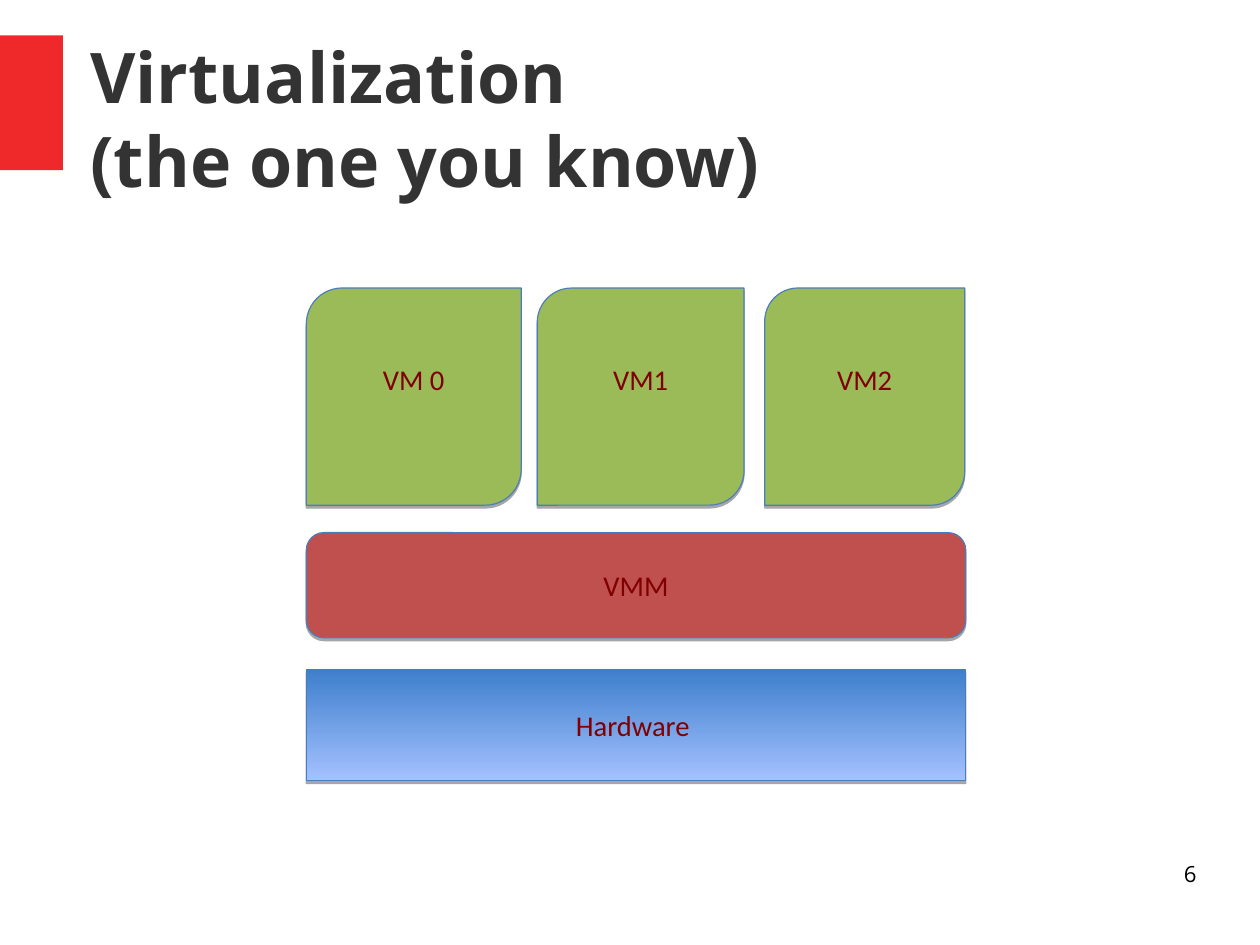
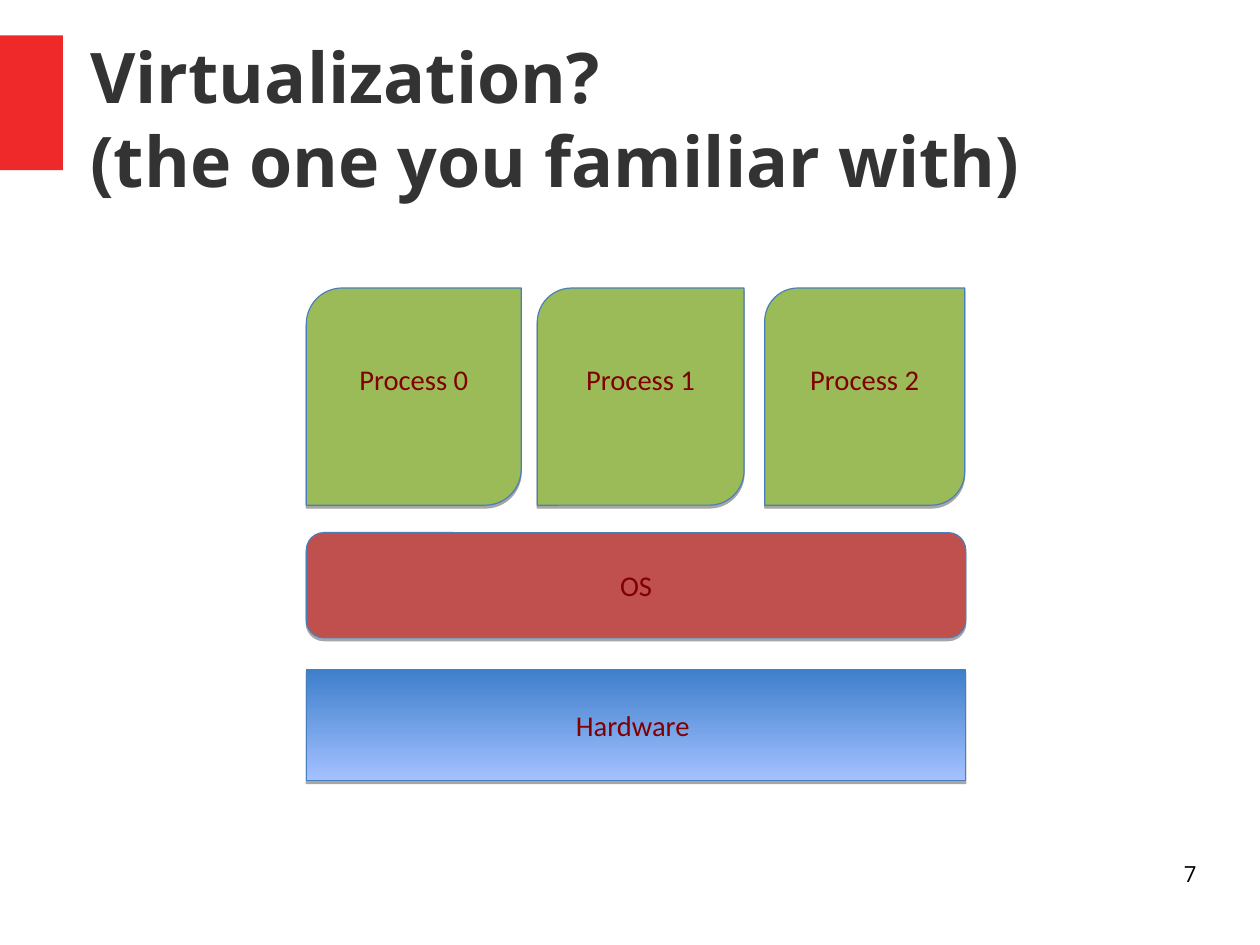
from dataclasses import dataclass

from lxml.etree import SubElement
from pptx import Presentation
from pptx.dml.color import RGBColor
from pptx.enum.shapes import MSO_SHAPE
from pptx.enum.text import MSO_ANCHOR, PP_ALIGN
from pptx.oxml.ns import qn
from pptx.util import Cm, Inches, Pt


@dataclass(frozen=True)
class Theme:
    band: str = "EF2929"
    title: str = "333333"
    number: str = "000000"
    label: str = "800000"
    outline: str = "4A7EBB"
    guest: str = "9BBB59"
    manager: str = "C0504D"
    hardware: tuple = ("3E7FCC", "A4C1FF")
    shadow: str = "000000"
    heading_font: str = "Open Sans"
    label_font: str = "Calibri"
    title_size: int = 44
    label_size: int = 18
    number_size: int = 14


def rgb(value):
    return RGBColor.from_string(value)


def write(shape, text, *, font, size, color, bold=False, align=PP_ALIGN.LEFT,
          anchor=MSO_ANCHOR.TOP, margins=(0, 0, 0, 0)):
    """Fill a shape with one paragraph; margins run left, top, right, bottom."""
    tf = shape.text_frame
    tf.word_wrap = True
    tf.vertical_anchor = anchor
    tf.margin_left, tf.margin_top, tf.margin_right, tf.margin_bottom = map(Inches, margins)
    p = tf.paragraphs[0]
    p.alignment = align
    for i, line in enumerate(text.split("\n")):
        if i:
            p.add_line_break()
        r = p.add_run()
        r.text = line
        r.font.name, r.font.size, r.font.bold = font, Pt(size), bold
        r.font.color.rgb = rgb(color)


def drop_shadow(shape, color):
    shape.shadow.inherit = False
    effects = shape._element.spPr.find(qn("a:effectLst"))
    outer = SubElement(effects, qn("a:outerShdw"), blurRad="0",
                       dist=str(Pt(1.8)), dir="5400000", rotWithShape="0")
    tone = SubElement(outer, qn("a:srgbClr"), val=color)
    SubElement(tone, qn("a:alpha"), val="35000")


class Deck:
    def __init__(self, theme):
        self.theme = theme
        self.prs = Presentation()
        self.prs.slide_width, self.prs.slide_height = Cm(28), Cm(21)
        self.s = None

    def slide(self, title, number):
        t = self.theme
        self.s = self.prs.slides.add_slide(self.prs.slide_layouts[6])
        band = self.shape(MSO_SHAPE.RECTANGLE, (0, 0.31, 0.55, 1.18), t.band)
        band.line.fill.background()
        self.text((0.79, 0.12, 9.68, 1.81), title, font=t.heading_font,
                  size=t.title_size, color=t.title, bold=True,
                  anchor=MSO_ANCHOR.MIDDLE)
        self.text((7.9, 7.53, 2.57, 0.57), str(number), font=t.heading_font,
                  size=t.number_size, color=t.number, align=PP_ALIGN.RIGHT)

    def text(self, box, text, **style):
        write(self.s.shapes.add_textbox(*map(Inches, box)), text, **style)

    def shape(self, kind, box, fill):
        """Add a shape; a pair of colours gives a top-to-bottom gradient."""
        sp = self.s.shapes.add_shape(kind, *map(Inches, box))
        sp.shadow.inherit = False
        if isinstance(fill, tuple):
            sp.fill.gradient()
            sp.fill.gradient_angle = 270
            for stop, color, position in zip(sp.fill.gradient_stops, fill, (0, 1)):
                stop.color.rgb, stop.position = rgb(color), position
        else:
            sp.fill.solid()
            sp.fill.fore_color.rgb = rgb(fill)
        return sp

    def block(self, kind, box, fill, label, bottom=0.05):
        t = self.theme
        sp = self.shape(kind, box, fill)
        sp.line.color.rgb, sp.line.width = rgb(t.outline), Pt(0.75)
        drop_shadow(sp, t.shadow)
        write(sp, label, font=t.label_font, size=t.label_size, color=t.label,
              align=PP_ALIGN.CENTER, anchor=MSO_ANCHOR.MIDDLE,
              margins=(0.1, 0.05, 0.1, bottom))

    def stack(self, guests, manager):
        """Draw the guests above their manager and the hardware."""
        t = self.theme
        left, width = 2.68, 5.77
        self.block(MSO_SHAPE.ROUNDED_RECTANGLE, (left, 4.66, width, 0.92), t.manager, manager)
        self.block(MSO_SHAPE.RECTANGLE, (left, 5.86, width, 0.97), t.hardware, "Hardware ")
        for (x, w), label in zip(((left, 1.88), (4.7, 1.81), (6.69, 1.75)), guests):
            self.block(MSO_SHAPE.ROUND_2_DIAG_RECTANGLE, (x, 2.52, w, 1.9),
                       t.guest, label, bottom=0.36)


def main():
    deck = Deck(Theme())
    slides = (
        ("Virtualization \n(the one you know)", ("VM 0", "VM1", "VM2"), "VMM"),
        ("Virtualization?\n(the one you familiar with)",
         [f"Process {i}" for i in range(3)], "OS"),
    )
    for number, (title, guests, manager) in enumerate(slides, start=6):
        deck.slide(title, number)
        deck.stack(guests, manager)
    deck.prs.save("out.pptx")


if __name__ == "__main__":
    main()
